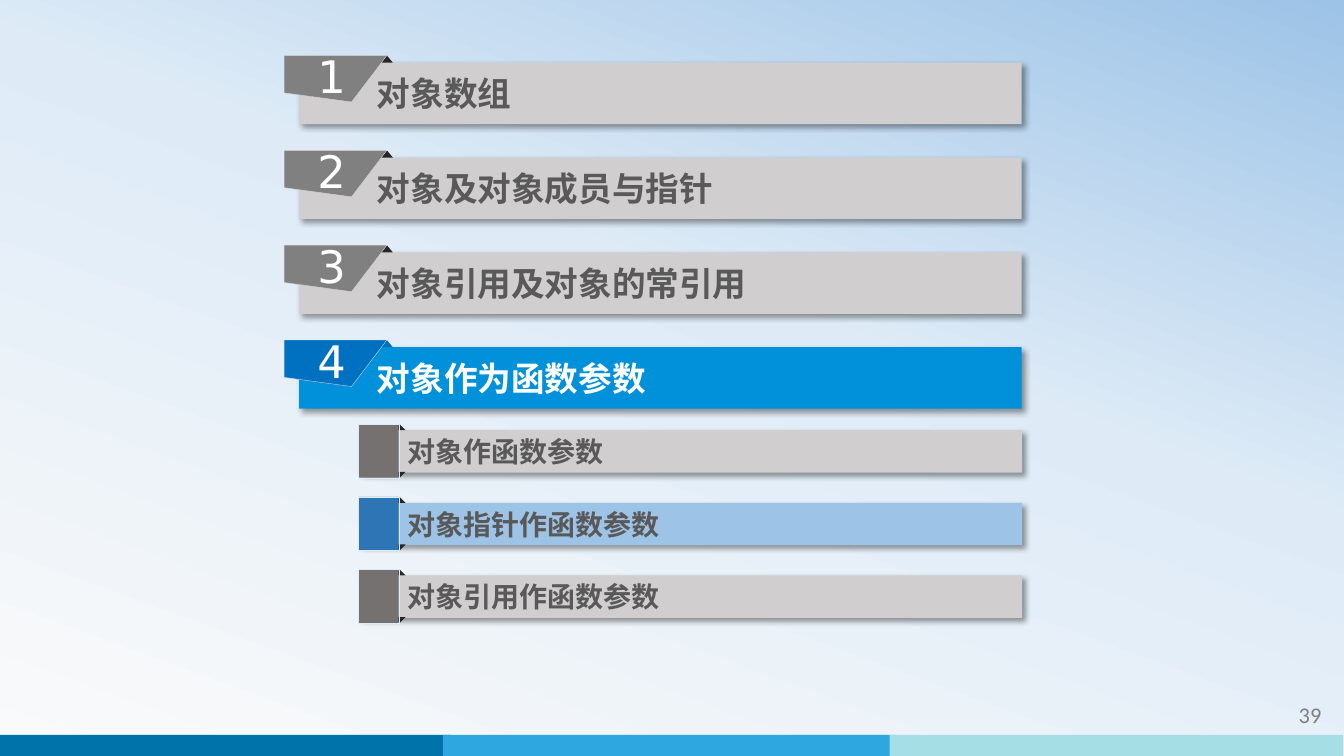
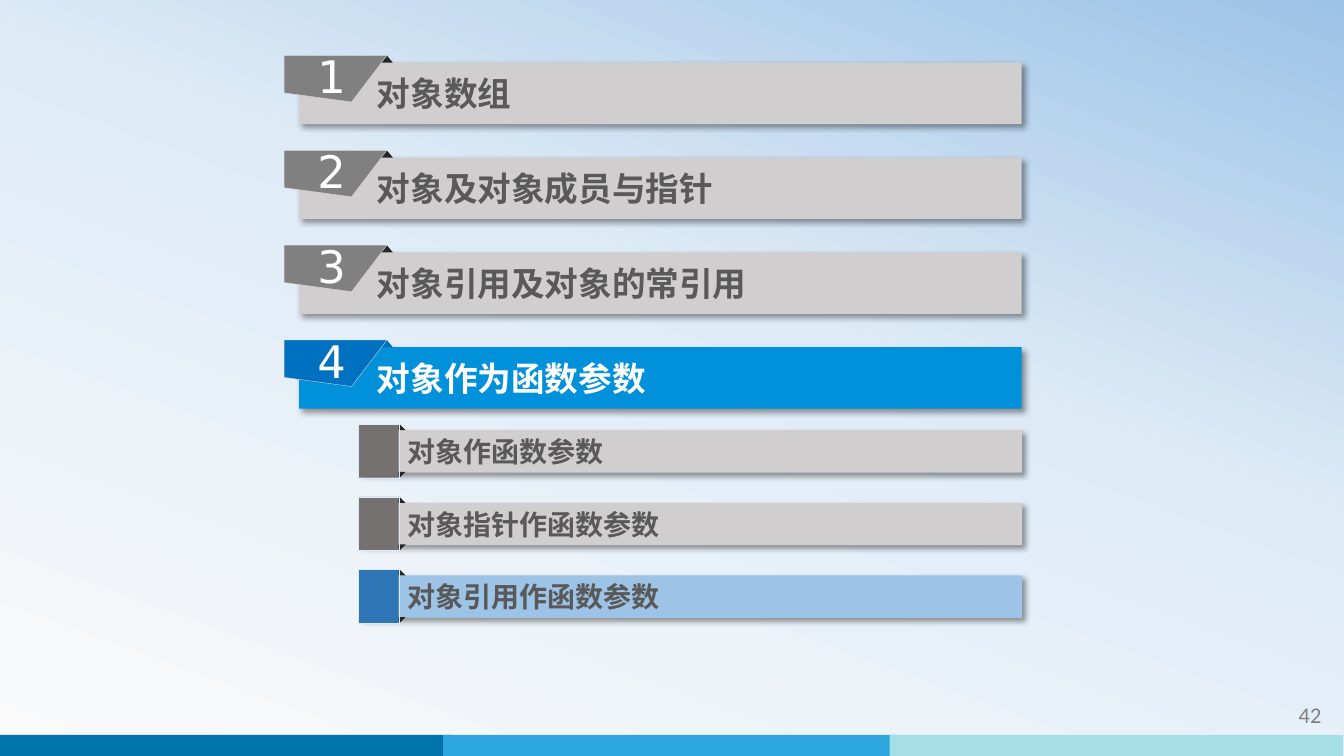
from copy import deepcopy
from dataclasses import dataclass

from lxml.etree import SubElement
from pptx import Presentation
from pptx.dml.color import RGBColor
from pptx.enum.shapes import MSO_SHAPE
from pptx.enum.text import MSO_ANCHOR, PP_ALIGN
from pptx.oxml.ns import qn
from pptx.util import Cm, Pt


@dataclass(frozen=True)
class Theme:
    """Colours, fonts and type sizes of the deck."""
    backdrop: tuple = ((0, "FAFAFA"), (0.58, "DEEBF7"), (1, "9DC3E6"))
    bands: tuple = ("0073AB", "2EA7E0", "A5DEE4")
    bar: str = "D0CECE"
    fold: str = "262626"
    text: str = "595959"
    light: str = "FFFFFF"
    page_number: str = "808080"
    chapter_tag: str = "808080"
    chapter_edge: str = "D9D9D9"
    current_bar: str = "0091DA"
    current_tag: str = "0070C0"
    topic_tag: str = "767171"
    topic_edge: str = "DEEBF7"
    current_topic_bar: str = "9DC3E6"
    current_topic_tag: str = "2E75B6"
    heading_font: str = "Noto Sans CJK SC"
    digit_font: str = "DejaVu Sans"
    footer_font: str = "Calibri"
    chapter_size: int = 24
    topic_size: int = 20
    digit_size: int = 32
    footer_size: int = 16


@dataclass(frozen=True)
class Box:
    """A rectangle in centimetres."""
    left: float
    top: float
    width: float
    height: float

    def inner(self, left, top, width, height):
        """Return a box placed relative to this one."""
        return Box(self.left + left, self.top + top, width, height)

    def lengths(self):
        """Return left, top, width and height as slide lengths."""
        return Cm(self.left), Cm(self.top), Cm(self.width), Cm(self.height)


THEME = Theme()
PAGE = Box(0, 0, 33.87, 19.05)
CHAPTERS = ("对象数组", "对象及对象成员与指针", "对象引用及对象的常引用", "对象作为函数参数")
TOPICS = ("对象作函数参数", "对象指针作函数参数", "对象引用作函数参数")
CURRENT_CHAPTER = 3


def paint(shape, fill, edge=None):
    """Give a shape a flat fill and an optional hairline."""
    shape.shadow.inherit = False
    shape.fill.solid()
    shape.fill.fore_color.rgb = RGBColor.from_string(fill)
    if edge:
        shape.line.color.rgb = RGBColor.from_string(edge)
        shape.line.width = Pt(0.25)
    else:
        shape.line.fill.background()


def add_preset(shapes, kind, box, fill, edge=None):
    """Add a painted preset shape."""
    shape = shapes.add_shape(kind, *box.lengths())
    paint(shape, fill, edge)
    return shape


def write(shape, text, font, size, color, align=PP_ALIGN.LEFT, bold=False):
    """Write one formatted paragraph into a shape."""
    frame = shape.text_frame
    frame.word_wrap = True
    frame.text = text
    para = frame.paragraphs[0]
    para.alignment = align
    span = para.runs[0]
    span.font.size = Pt(size)
    span.font.bold = bold
    span.font.color.rgb = RGBColor.from_string(color)
    span.font.name = font
    SubElement(span.font._element, qn("a:ea"), typeface=font)


def add_drop_shadow(shape):
    """Cast a soft shadow to the lower right."""
    effects = shape._element.spPr.find(qn("a:effectLst"))
    shadow = SubElement(effects, qn("a:outerShdw"), blurRad=str(Pt(4)), dist=str(Pt(3)),
                        dir=str(45 * 60000), algn="tl", rotWithShape="0")
    color = SubElement(shadow, qn("a:srgbClr"), val="000000")
    SubElement(color, qn("a:alpha"), val="40000")


def add_bar(shapes, box, text, size, indent, fill, color):
    """Add a shadowed bar with an indented bold heading."""
    bar = add_preset(shapes, MSO_SHAPE.RECTANGLE, box, fill)
    add_drop_shadow(bar)
    write(bar, text, THEME.heading_font, size, color, bold=True)
    bar.text_frame.margin_left = Cm(indent)
    bar.text_frame.vertical_anchor = MSO_ANCHOR.MIDDLE


def add_chapter(slide, box, number, title, current):
    """Add a chapter bar with a slanted number tag."""
    shapes = slide.shapes.add_group_shape().shapes
    tag_fill = THEME.current_tag if current else THEME.chapter_tag
    add_bar(shapes, box.inner(0.38, 0.18, box.width - 0.38, box.height - 0.18), title,
            THEME.chapter_size, 1.96, THEME.current_bar if current else THEME.bar,
            THEME.light if current else THEME.text)
    add_preset(shapes, MSO_SHAPE.ISOSCELES_TRIANGLE, box.inner(2.44, 0, 0.3, 0.18),
               THEME.current_tag if current else THEME.fold)

    corners = [(Cm(box.left + x), Cm(box.top + y))
               for x, y in ((0, 0), (2.59, 0), (1.7, 1.17), (0, 0.94))]
    outline = shapes.build_freeform(*corners[0])
    outline.add_line_segments(corners[1:], close=True)
    tag = outline.convert_to_shape()
    paint(tag, tag_fill, THEME.chapter_edge)
    write(tag, str(number), THEME.digit_font, THEME.digit_size, THEME.light, PP_ALIGN.CENTER)
    frame = tag.text_frame
    frame.vertical_anchor = MSO_ANCHOR.MIDDLE
    frame.margin_left, frame.margin_top = Cm(0.23), Cm(0.1)
    frame.margin_right, frame.margin_bottom = Cm(0.43), Cm(0.25)


def add_topic(slide, box, title, current):
    """Add a topic bar held by a square tag with two folds."""
    shapes = slide.shapes.add_group_shape().shapes
    add_bar(shapes, box.inner(0.04, 0.15, box.width - 0.04, 1.07), title, THEME.topic_size,
            1.2, THEME.current_topic_bar if current else THEME.bar, THEME.text)
    add_preset(shapes, MSO_SHAPE.ISOSCELES_TRIANGLE, box.inner(0.89, 0, 0.3, 0.15), THEME.fold)
    lower_fold = add_preset(shapes, MSO_SHAPE.ISOSCELES_TRIANGLE,
                            box.inner(0.89, box.height - 0.15, 0.3, 0.15), THEME.fold)
    lower_fold.rotation = 180
    add_preset(shapes, MSO_SHAPE.RECTANGLE, box.inner(0, 0, 1.02, box.height),
               THEME.current_topic_tag if current else THEME.topic_tag, THEME.topic_edge)


def add_backdrop(slide):
    """Fill the background with the slanted three-stop gradient."""
    fill = slide.background.fill
    fill.gradient()
    fill.gradient_angle = 70
    stop_list = slide.element.find(".//" + qn("a:gsLst"))
    stop_list.append(deepcopy(stop_list[-1]))
    for stop, (position, color) in zip(fill.gradient_stops, THEME.backdrop):
        stop.position = position
        stop.color.rgb = RGBColor.from_string(color)


def add_footer(slide, box, page_number):
    """Add the coloured bands and the page number above them."""
    for index, color in enumerate(THEME.bands):
        add_preset(slide.shapes, MSO_SHAPE.RECTANGLE,
                   box.inner(-0.08 + 11.25 * index, 0, 11.43, box.height), color)
    label = slide.shapes.add_textbox(*box.inner(29.51, -0.97, 4.04, 1.02).lengths())
    write(label, str(page_number), THEME.footer_font, THEME.footer_size,
          THEME.page_number, PP_ALIGN.RIGHT)


def add_agenda_slide(deck, page_number, current_topic):
    """Add an agenda page with one topic highlighted."""
    slide = deck.slides.add_slide(deck.slide_layouts[6])
    add_backdrop(slide)
    add_footer(slide, PAGE.inner(0, 18.52, PAGE.width, 0.53), page_number)
    for index, title in enumerate(CHAPTERS):
        add_chapter(slide, PAGE.inner(7.16, 1.4 + 2.39 * index, 18.59, 1.73),
                    index + 1, title, index == CURRENT_CHAPTER)
    for index, title in enumerate(TOPICS):
        add_topic(slide, PAGE.inner(9.03, 10.69 + 1.83 * index, 16.73, 1.35),
                  title, index == current_topic)


deck = Presentation()
deck.slide_width, deck.slide_height = Cm(PAGE.width), Cm(PAGE.height)
for page_number, current_topic in ((39, 1), (42, 2)):
    add_agenda_slide(deck, page_number, current_topic)
deck.save("out.pptx")
